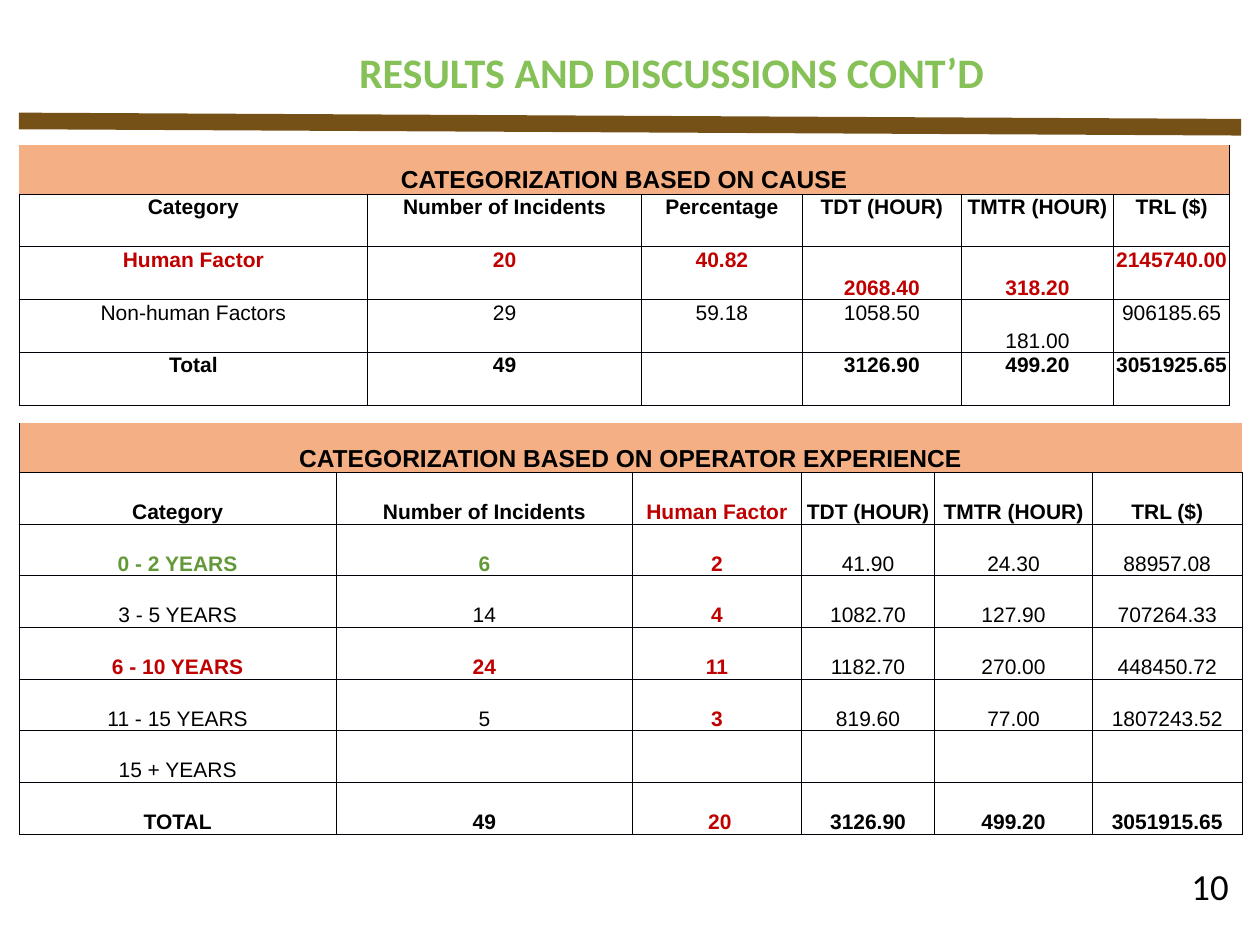
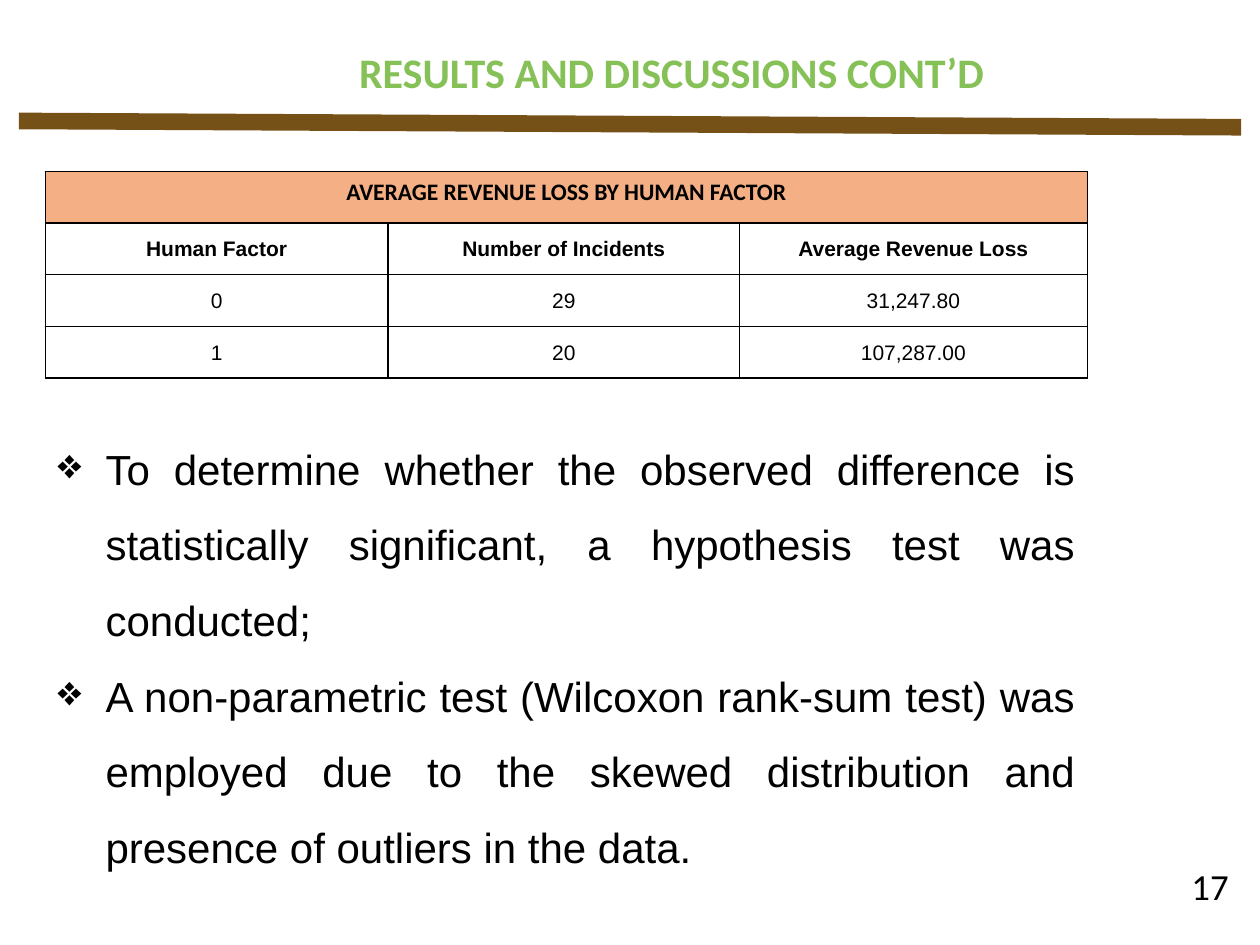
"""Two results slides: incident tables by cause and experience, then revenue loss by human factor."""
from lxml import etree
from pptx import Presentation
from pptx.dml.color import RGBColor
from pptx.enum.shapes import MSO_CONNECTOR
from pptx.enum.text import MSO_ANCHOR, PP_ALIGN
from pptx.oxml.ns import qn
from pptx.util import Inches, Pt

BLACK = RGBColor(0, 0, 0)
RED = RGBColor(0xC0, 0x00, 0x00)
GREEN = RGBColor(0x64, 0x99, 0x39)
LIME = RGBColor(0x86, 0xC1, 0x57)
BROWN = RGBColor(0x75, 0x50, 0x17)
PEACH = RGBColor(0xF4, 0xB0, 0x84)
INK = RGBColor(0x00, 0x00, 0x08)

CENTER, RIGHT, JUSTIFY = PP_ALIGN.CENTER, PP_ALIGN.RIGHT, PP_ALIGN.JUSTIFY
ANCHORS = {"t": MSO_ANCHOR.TOP, "m": MSO_ANCHOR.MIDDLE, "b": MSO_ANCHOR.BOTTOM}
LOOKS = {"N": (BLACK, False), "B": (BLACK, True), "R": (RED, True), "G": (GREEN, True)}


def write(para, text, size, font="Arial", color=BLACK, bold=False, align=CENTER):
    para.alignment = align
    run = para.add_run()
    run.text = text
    run.font.size = Pt(size)
    run.font.name = font
    run.font.color.rgb = color
    run.font.bold = bold


def grid(slide, left, top, cols, head, tall, rows, title, edges="LRTB", ink=INK, width=0.5):
    """Draw a table with a merged title row; each row holds looks, anchors and texts."""
    heights = [head] + [tall] * len(rows)
    frame = slide.shapes.add_table(
        len(heights), len(cols), Inches(left), Inches(top), Inches(sum(cols)), Inches(sum(heights)))
    table = frame.table
    table.first_row = table.horz_banding = False
    for col, wide in zip(table.columns, cols):
        col.width = Inches(wide)
    for row, high in zip(table.rows, heights):
        row.height = Inches(high)
    for r, row in enumerate(table.rows):
        for cell in row.cells:
            props = cell._tc.get_or_add_tcPr()
            for side in "LRTB":
                line = etree.SubElement(props, qn("a:ln" + side), w=str(Pt(width)))
                if r or side in edges:
                    fill = etree.SubElement(line, qn("a:solidFill"))
                    etree.SubElement(fill, qn("a:srgbClr"), val=str(ink))
                else:
                    etree.SubElement(line, qn("a:noFill"))
            if r:
                cell.fill.background()
            else:
                cell.fill.solid()
                cell.fill.fore_color.rgb = PEACH
    table.cell(0, 0).merge(table.cell(0, len(cols) - 1))
    text, size, font, anchor = title
    lead = table.cell(0, 0)
    lead.vertical_anchor = ANCHORS[anchor]
    write(lead.text_frame.paragraphs[0], text, size, font, bold=True)
    tight = [lead] if anchor == "b" else []
    for r, (looks, anchors, texts) in enumerate(rows, 1):
        for c, (look, anchor, text) in enumerate(zip(looks, anchors, texts)):
            cell = table.cell(r, c)
            cell.vertical_anchor = ANCHORS[anchor]
            tight.append(cell)
            if text:
                color, bold = LOOKS[look]
                write(cell.text_frame.paragraphs[0], text, 12, color=color, bold=bold)
    for cell in tight:
        cell.margin_left = cell.margin_right = cell.margin_top = Inches(0.01)
        cell.margin_bottom = 0


deck = Presentation()
deck.slide_width, deck.slide_height = Inches(10), Inches(7.5)
slides = []
for number in ("10", "17"):
    slide = deck.slides.add_slide(deck.slide_layouts[6])
    slides.append(slide)
    page = slide.shapes.add_textbox(Inches(9.22), Inches(6.88), Inches(0.63), Inches(0.3))
    page.text_frame.word_wrap = True
    page.text_frame.vertical_anchor = ANCHORS["m"]
    write(page.text_frame.paragraphs[0], number, 21, "Calibri", align=RIGHT)
    title = slide.shapes.add_textbox(Inches(2.38), Inches(0.32), Inches(5.9), Inches(0.5))
    title.text_frame.word_wrap = True
    write(title.text_frame.paragraphs[0], "RESULTS AND DISCUSSIONS CONT’D", 24, "Calibri", LIME, True)
    band = slide.shapes.add_connector(
        MSO_CONNECTOR.STRAIGHT, Inches(0.15), Inches(0.96), Inches(9.85), Inches(1.01))
    band.line.color.rgb = BROWN
    band.line.width = Pt(9.5)
    etree.SubElement(band._element.spPr, qn("a:effectLst"))

first, second = slides

cause = [
    ("BBBBBB", "tttttt",
     ["Category", "Number of Incidents", "Percentage", "TDT (HOUR)", "TMTR (HOUR)", "TRL ($)"]),
    ("RRRRRR", "tttbbt", ["Human Factor", "20", "40.82", "2068.40", "318.20", "2145740.00"]),
    ("NNNNNN", "ttttbt", ["Non-human Factors", "29", "59.18", "1058.50", "181.00", "906185.65"]),
    ("BBBBBB", "tttttt", ["Total", "49", "", "3126.90", "499.20", "3051925.65"]),
]
grid(first, 0.15, 1.15, [2.77, 2.17, 1.28, 1.26, 1.21, 0.92], 0.39, 0.42, cause,
     ("CATEGORIZATION BASED ON CAUSE", 14, "Arial", "b"), "RB")

years = [
    ("BBRBBB", "bbbbbb",
     ["Category", "Number of Incidents", "Human Factor", "TDT (HOUR)", "TMTR (HOUR)", "TRL ($)"]),
    ("GGRNNN", "bbbbbb", ["0 - 2 YEARS", "6", "2", "41.90", "24.30", "88957.08"]),
    ("NNRNNN", "bbbbbb", ["3 - 5 YEARS", "14", "4", "1082.70", "127.90", "707264.33"]),
    ("RRRNNN", "bbbbbb", ["6 - 10 YEARS", "24", "11", "1182.70", "270.00", "448450.72"]),
    ("NNRNNN", "bbbbbb", ["11 - 15 YEARS", "5", "3", "819.60", "77.00", "1807243.52"]),
    ("NNNNNN", "bbbbbb", ["15 + YEARS", "", "", "", "", ""]),
    ("BBRBBB", "bbbbbb", ["TOTAL", "49", " 20", "3126.90", "499.20", "3051915.65"]),
]
grid(first, 0.15, 3.36, [2.52, 2.35, 1.34, 1.06, 1.25, 1.19], 0.39, 0.41, years,
     ("CATEGORIZATION BASED ON OPERATOR EXPERIENCE", 14, "Arial", "b"), "LB")

loss = [
    ("BBB", "mmm", ["Human Factor", "Number of Incidents", "Average Revenue Loss"]),
    ("NNN", "mmm", ["0", "29", "31,247.80"]),
    ("NNN", "mmm", ["1", "20", "107,287.00"]),
]
grid(second, 0.36, 1.36, [2.72, 2.79, 2.76], 0.41, 0.41, loss,
     ("AVERAGE REVENUE LOSS BY HUMAN FACTOR", 13.5, "Calibri", "t"), ink=BLACK, width=1)

points = [
    "To determine whether the observed difference is statistically significant, "
    "a hypothesis test was conducted;",
    "A non-parametric test (Wilcoxon rank-sum test) was employed due to the skewed "
    "distribution and presence of outliers in the data.",
]
body = second.shapes.add_textbox(Inches(0.36), Inches(3.27), Inches(8.27), Inches(4.87)).text_frame
body.word_wrap = True
for i, point in enumerate(points):
    para = body.add_paragraph() if i else body.paragraphs[0]
    write(para, point, 24, align=JUSTIFY)
    para.line_spacing = 1.5
    props = para._p.get_or_add_pPr()
    props.set("marL", str(Inches(0.38)))
    props.set("indent", str(-Inches(0.38)))
    etree.SubElement(props, qn("a:buChar"), char="❖")

deck.save("out.pptx")
